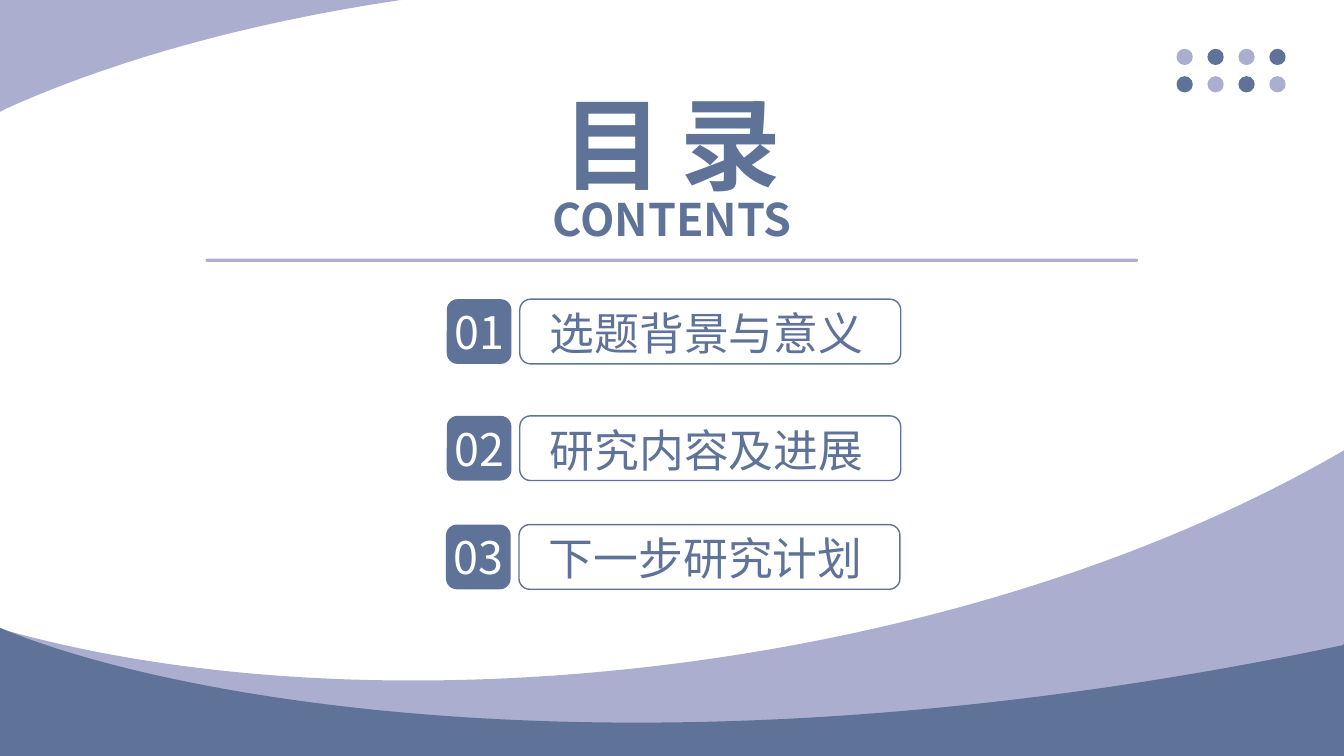
from dataclasses import dataclass

import lxml.etree
import pptx
import pptx.dml.color
import pptx.enum.shapes
import pptx.enum.text
import pptx.oxml
import pptx.oxml.ns
import pptx.util
from pptx.util import Cm

RGB = pptx.dml.color.RGBColor
MSO = pptx.enum.shapes.MSO_SHAPE
Point = tuple[float, float]


@dataclass(frozen=True)
class Theme:
    slate: RGB = RGB(0x5E, 0x73, 0x97)
    lilac: RGB = RGB(0xAC, 0xAE, 0xCF)
    white: RGB = RGB(0xFF, 0xFF, 0xFF)
    font: str = "Noto Sans CJK SC"
    title_size: int = 72
    text_size: int = 32


@dataclass(frozen=True)
class Wave:
    """Outline in cm: a segment is one line end, or two controls and a curve end."""
    size: Point
    top: float
    start: Point
    segments: tuple[tuple[Point, ...], ...]
    color: RGB


@dataclass(frozen=True)
class Entry:
    number: str
    label: str
    top: float
    shift: float = 0


THEME = Theme()

WAVES = (
    Wave((33.87, 6.89), 11.35, (33.87, 11.35), (
        ((33.87, 16.26),), ((33.83, 16.28),),
        ((16.51, 19.94), (4.34, 17.65), (0, 15.85)),
        ((0, 15.82),), ((0.13, 15.88),),
        ((9.55, 18.52), (23.98, 17.04), (33.73, 11.43)),
    ), THEME.lilac),
    Wave((33.87, 3.23), 15.82, (0, 15.82), (
        ((4.34, 17.65), (16.51, 19.91), (33.83, 16.26)),
        ((33.87, 16.23),), ((33.87, 19.05),), ((0, 19.05),),
    ), THEME.slate),
    Wave((10.11, 2.82), 0, (0, 2.82), (
        ((0, 0),), ((10.11, 0),), ((9.91, 0.03),),
        ((6.43, 0.56), (3.02, 1.45), (0.15, 2.74)),
    ), THEME.lilac),
)

ENTRIES = (
    Entry("01", "选题背景与意义", 7.54),
    Entry("02", "研究内容及进展", 10.48),
    Entry("03", "下一步研究计划", 13.22, -0.02),
)


def add_wave(s, wave: Wave) -> None:
    width, height = wave.size
    left, top, right, bottom = Cm(0), Cm(wave.top), Cm(width), Cm(wave.top + height)
    builder = s.shapes.build_freeform(left, top, scale=1.0)
    builder.add_line_segments([(right, top), (right, bottom), (left, bottom)], close=True)
    sp = builder.convert_to_shape()
    sp.shadow.inherit = False
    sp.fill.solid()
    sp.fill.fore_color.rgb = wave.color
    sp.line.fill.background()

    # Trace the outline with lines and Bezier curves inside the bounding box
    qn = pptx.oxml.ns.qn
    outline = next(sp._element.iter(qn("a:path")))
    for step in list(outline):
        outline.remove(step)
    steps = [("a:moveTo", (wave.start,))]
    steps += [("a:cubicBezTo" if len(points) == 3 else "a:lnTo", points)
              for points in wave.segments]
    for tag, points in steps:
        step = lxml.etree.SubElement(outline, qn(tag))
        for x, y in points:
            lxml.etree.SubElement(step, qn("a:pt"), x=str(int(Cm(x))), y=str(int(Cm(y) - top)))
    lxml.etree.SubElement(outline, qn("a:close"))


def add_box(s, kind, left: float, top: float, width: float, height: float,
            fill: RGB | None = None, line: RGB | None = None):
    sp = s.shapes.add_shape(kind, Cm(left), Cm(top), Cm(width), Cm(height))
    sp.shadow.inherit = False
    if fill is None:
        sp.fill.background()
    else:
        sp.fill.solid()
        sp.fill.fore_color.rgb = fill
    if line is None:
        sp.line.fill.background()
    else:
        sp.line.color.rgb = line
        sp.line.width = pptx.util.Pt(1)
    return sp


def write(sp, text: str, size: int, color: RGB, bold: bool = False,
          right_inset: float = 0, top_inset: float = 0, spacing: int = 0) -> None:
    tf = sp.text_frame
    tf.auto_size = pptx.enum.text.MSO_AUTO_SIZE.NONE
    tf.word_wrap = False
    tf.vertical_anchor = pptx.enum.text.MSO_ANCHOR.MIDDLE
    tf.margin_left = tf.margin_bottom = 0
    tf.margin_right, tf.margin_top = Cm(right_inset), Cm(top_inset)
    p = tf.paragraphs[0]
    p.alignment = pptx.enum.text.PP_ALIGN.CENTER
    p.space_before = pptx.util.Pt(0)
    r = p.add_run()
    r.text = text
    r.font.size = pptx.util.Pt(size)
    r.font.bold = bold
    r.font.color.rgb = color
    r.font.name = THEME.font
    # East Asian typeface and letter spacing
    props = r.font._element
    ea = pptx.oxml.parse_xml(f'<a:ea {pptx.oxml.ns.nsdecls("a")} typeface="{THEME.font}"/>')
    props.append(ea)
    if spacing:
        props.set("spc", str(spacing))


def place(sp, left: float, top: float, width: float, height: float) -> None:
    sp.left, sp.top, sp.width, sp.height = Cm(left), Cm(top), Cm(width), Cm(height)


def add_entry(s, entry: Entry) -> None:
    badge = add_box(s, MSO.ROUNDED_RECTANGLE, 11.26 + entry.shift, entry.top, 1.63, 1.63,
                    fill=THEME.slate)
    write(badge, entry.number, THEME.text_size, THEME.white)
    frame = add_box(s, MSO.ROUNDED_RECTANGLE, 13.1 + entry.shift, entry.top, 9.6, 1.63,
                    line=THEME.slate)
    write(frame, entry.label, THEME.text_size, THEME.slate, right_inset=0.18, top_inset=0.05)


def main() -> None:
    prs = pptx.Presentation()
    prs.slide_width, prs.slide_height = Cm(33.87), Cm(19.05)
    s = prs.slides.add_slide(prs.slide_layouts[0])

    # Background waves
    for wave in WAVES:
        add_wave(s, wave)

    # Heading and rule
    title, subtitle = s.shapes.title, s.placeholders[1]
    place(title, 13.52, 1.93, 6.83, 3.33)
    write(title, "目 录", THEME.title_size, THEME.slate, bold=True, spacing=-220)
    place(subtitle, 12.87, 4.7, 8.15, 1.63)
    write(subtitle, "CONTENTS", THEME.text_size, THEME.slate, bold=True)
    rule = add_box(s, MSO.ROUNDED_RECTANGLE, 5.18, 6.52, 23.5, 0.08, fill=THEME.lilac)
    rule.adjustments[0] = 0.5

    # Dot grid
    for row in range(2):
        for col in range(4):
            color = THEME.slate if (row + col) % 2 else THEME.lilac
            add_box(s, MSO.OVAL, 29.65 + 0.78 * col, 1.23 + 0.69 * row, 0.41, 0.41, fill=color)

    # Contents list
    for entry in ENTRIES:
        add_entry(s, entry)

    prs.save("out.pptx")


if __name__ == "__main__":
    main()
